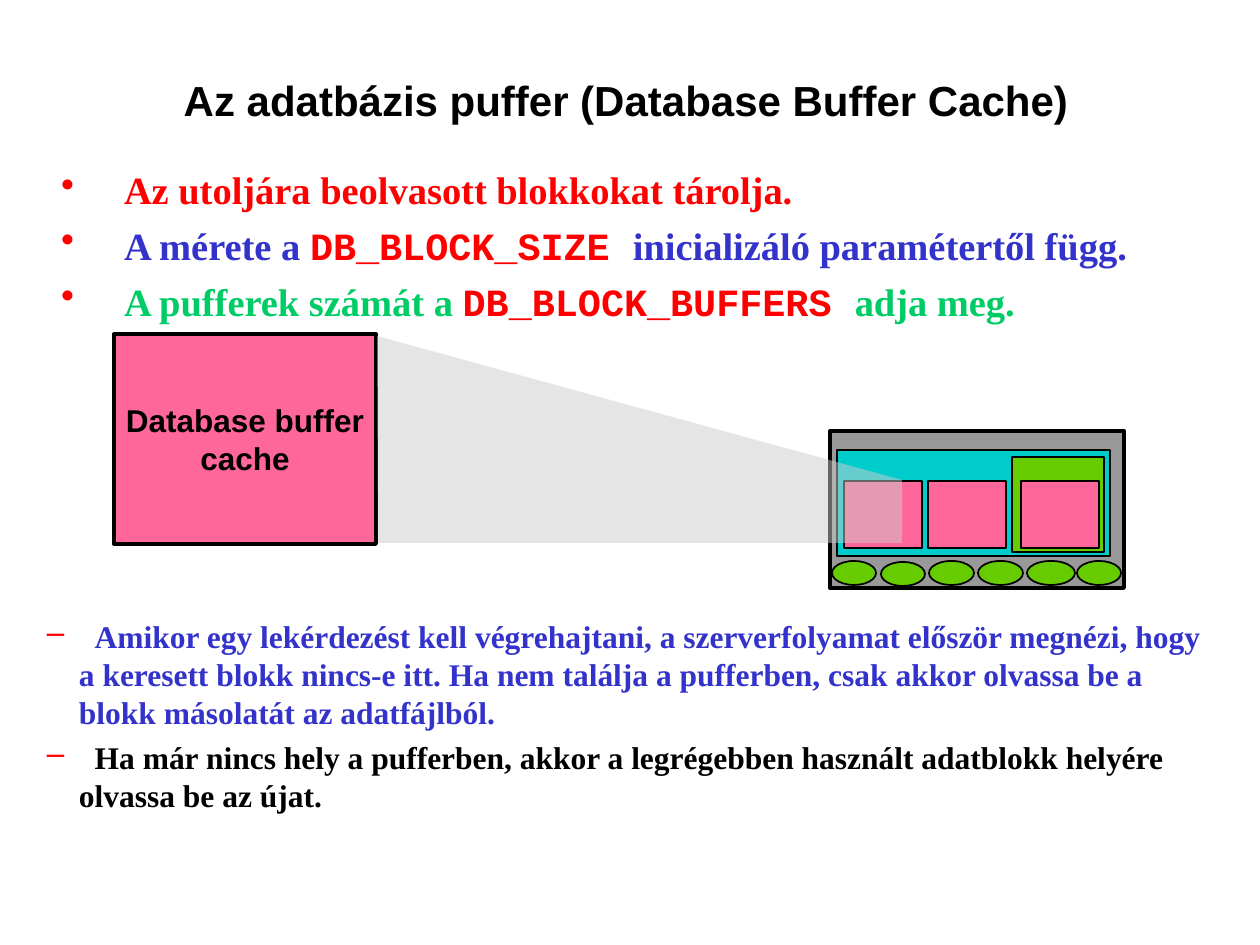
"""Build the slide on the database buffer cache."""
from lxml import etree
from pptx import Presentation
from pptx import util as u
from pptx.dml.color import RGBColor
from pptx.enum import shapes, text
from pptx.oxml.ns import qn

PX = 7257
RED, BLUE, GREEN, BLACK = "FF0000", "3333CC", "00CC66", "000000"
PINK, LIME = "FF6699", "66CC00"
SERIF, MONO, SANS = "Times New Roman", "Courier New", "Arial"
RECT, OVAL = shapes.MSO_SHAPE.RECTANGLE, shapes.MSO_SHAPE.OVAL


def paint(form, hue):
    form.rgb = RGBColor.from_string(hue)


def write(para, parts, size):
    for words, face, hue in parts:
        run = para.add_run()
        run.text = words
        run.font.size = u.Pt(size)
        run.font.name = face
        run.font.bold = True
        paint(run.font.color, hue)


deck = Presentation()
deck.slide_width, deck.slide_height = 1260 * PX, 945 * PX
slide = deck.slides.add_slide(deck.slide_layouts[6])
items = slide.shapes

title = items.add_textbox(122 * PX, 73 * PX, 1008 * PX, 72 * PX).text_frame
title.word_wrap = True
title.margin_left = title.margin_right = title.margin_top = title.margin_bottom = PX
head = title.paragraphs[0]
head.alignment = text.PP_ALIGN.CENTER
head.space_before = u.Pt(6)
write(head, [("Az adatbázis puffer (Database Buffer Cache)", SANS, BLACK)], 24)

facts = [
    [("Az utoljára beolvasott blokkokat tárolja.", SERIF, RED)],
    [("A mérete a ", SERIF, BLUE), ("DB_BLOCK_SIZE ", MONO, RED),
     ("inicializáló paramétertől függ.", SERIF, BLUE)],
    [("A pufferek számát a ", SERIF, GREEN), ("DB_BLOCK_BUFFERS ", MONO, RED),
     ("adja meg.", SERIF, GREEN)],
]
steps = [
    [(" ", SERIF, BLACK),
     ("Amikor egy lekérdezést kell végrehajtani, a szerverfolyamat először megnézi, "
      "hogy a keresett blokk nincs-e itt. Ha nem találja a pufferben, csak akkor "
      "olvassa be a blokk másolatát az adatfájlból.", SERIF, BLUE)],
    [(" ", SERIF, BLACK),
     ("Ha már nincs hely a pufferben, akkor a legrégebben használt adatblokk "
      "helyére olvassa be az újat.", SERIF, BLACK)],
]
lists = [
    (facts, (44, 165, 1171, 161), (1, 1), "•", 79, 63, 22, 5.5),
    (steps, (34, 611, 1201, 267), (13, 6), "–", 32, 32, 18, 4.5),
]
for rows, box, (side, edge), mark, left, hang, size, gap in lists:
    frame = items.add_textbox(*[n * PX for n in box]).text_frame
    frame.word_wrap = True
    frame.margin_left = frame.margin_right = side * PX
    frame.margin_top = frame.margin_bottom = edge * PX
    for i, parts in enumerate(rows):
        para = frame.add_paragraph() if i else frame.paragraphs[0]
        para.space_before = u.Pt(gap)
        write(para, parts, size)
        props = para._p.get_or_add_pPr()
        props.set("marL", str(left * PX))
        props.set("indent", str(-hang * PX))
        tint = etree.SubElement(props, qn("a:buClr"))
        etree.SubElement(tint, qn("a:srgbClr"), val=RED)
        etree.SubElement(props, qn("a:buChar"), char=mark)
        if parts[0][0] == " ":
            para.runs[0].font._element.set("spc", "450")

parts = [
    (RECT, (830, 431, 294, 157), "999999", 2.25),
    (RECT, (837, 450, 273, 106), "00CCCC", 1),
    (RECT, (1012, 457, 92, 95), LIME, 1),
]
parts += [(RECT, (x, 481, 78, 67), PINK, 1) for x in (844, 928, 1021)]
ovals = [(832, 561, 44), (881, 562, 44), (929, 561, 45),
         (978, 561, 45), (1027, 561, 48), (1077, 561, 44)]
parts += [(OVAL, (x, y, w, 24), LIME, 1) for x, y, w in ovals]
parts.append((RECT, (114, 334, 262, 210), PINK, 2.25))
for kind, box, hue, width in parts:
    cache = items.add_shape(kind, *[n * PX for n in box])
    cache.shadow.inherit = False
    cache.fill.solid()
    paint(cache.fill.fore_color, hue)
    paint(cache.line.color, BLACK)
    cache.line.width = u.Pt(width)

label = cache.text_frame
label.word_wrap = False
label.vertical_anchor = text.MSO_ANCHOR.MIDDLE
name = label.paragraphs[0]
name.text = "Database buffer\ncache"
name.alignment = text.PP_ALIGN.CENTER
for run in name.runs:
    run.font.size = u.Pt(18)
    run.font.name = SANS
    run.font.bold = True
    paint(run.font.color, BLACK)

pen = items.build_freeform(378, 543, scale=PX)
pen.add_line_segments([(902, 543), (902, 480), (377, 336)], close=True)
beam = pen.convert_to_shape()
beam.shadow.inherit = False
beam.fill.solid()
paint(beam.fill.fore_color, "CCCCCC")
beam.line.fill.background()
shade = beam._element.spPr.find(qn("a:solidFill"))[0]
etree.SubElement(shade, qn("a:alpha"), val="50000")

deck.save("out.pptx")
